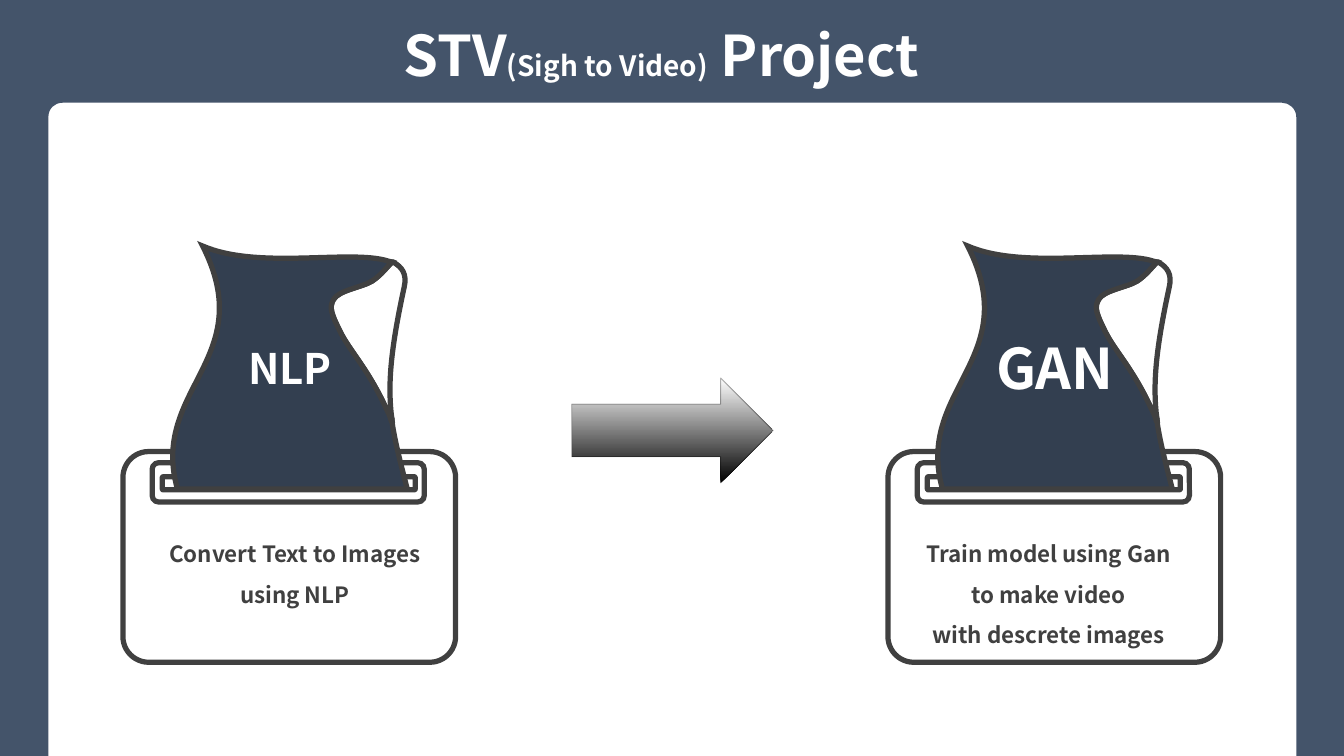
"""Build the STV project slide: two labelled pouches joined by an arrow."""
import pptx
import pptx.util
import pptx.dml.color
import pptx.enum.shapes
import pptx.enum.text
import lxml.etree

Inches = pptx.util.Inches
SHAPE = pptx.enum.shapes.MSO_SHAPE
TEXT = pptx.enum.text
FONT = "Noto Sans CJK KR"
WHITE, DARK, NAVY, SLATE, BLACK = "FFFFFF", "404040", "333F50", "44546A", "000000"
WIDTH, HEIGHT = 40 / 3, 7.5

TITLE = [("STV", 40), ("(Sigh to Video)", 20), (" Project", 40)]
TITLE_BOX = (3.47, 0.15, 6.18, 0.76)
STAGES = [
    {"dx": 0, "label": "NLP", "size": 30, "box": (1.43, 5.18, 2.99, 0.89),
     "caption": ["Convert Text to Images using NLP"]},
    {"dx": 7.59, "label": "GAN", "size": 40, "box": (8.71, 5.18, 3.44, 1.29),
     "caption": ["Train model using Gan ", "to make video ", "with descrete images "]},
]
CARD = ((1.22, 4.48, 3.3, 2.09), 0.122)
SLOTS = [((1.51, 4.59, 2.7, 0.39), 0.167), ((1.61, 4.73, 2.51, 0.13), 0.089)]
ARROW = (5.67, 3.75, 2, 1.04)

# Each path is a start point, then 2 numbers for a line or 6 for a curve.
FRAME = [(0, 0), (WIDTH, 0), (WIDTH, HEIGHT), (12.86, HEIGHT), (12.86, 1.47),
         (12.86, 1.16), (12.86, 1.08, 12.79, 1.02, 12.72, 1.02), (0.62, 1.02),
         (0.54, 1.02, 0.48, 1.08, 0.48, 1.16), (0.48, 1.47), (0.48, HEIGHT), (0, HEIGHT)]
FOLD = [(3.88, 2.61), (3.83, 2.66, 3.78, 2.73, 3.69, 2.79),
        (3.59, 2.85, 3.36, 2.88, 3.31, 2.97), (3.26, 3.05, 3.29, 3.12, 3.38, 3.3),
        (3.47, 3.48, 3.65, 3.66, 3.83, 4.05), (3.85, 4.09, 3.87, 4.13, 3.88, 4.17)]
FLAP_EDGE = [(3.89, 2.6), (3.9, 2.6), (3.99, 2.65, 4.04, 2.72, 4.01, 2.85),
             (3.88, 3.45, 3.85, 3.78, 3.88, 4.09), (3.89, 4.17)]
BAG_TOP = [(2.01, 2.44), (2.56, 2.68, 3.48, 2.47, 3.85, 2.59), (3.89, 2.6)]
BAG_BASE = [(3.89, 4.17), (3.89, 4.19), (3.92, 4.39, 3.97, 4.58, 4.04, 4.85),
            (1.76, 4.85), (1.48, 3.86, 2.58, 3.56, 2.01, 2.44)]


def rgb(value):
    return pptx.dml.color.RGBColor.from_string(value)


def child(parent, tag, **attrs):
    el = lxml.etree.SubElement(parent, pptx.oxml.ns.qn(tag))
    for key, value in attrs.items():
        el.set(key, str(value))
    return el


def backwards(path):
    ends = [seg[-2:] for seg in path]
    back = [path[i][2:4] + path[i][:2] + ends[i - 1] if len(path[i]) == 6 else ends[i - 1]
            for i in range(len(path) - 1, 0, -1)]
    return [ends[-1]] + back


def trace(path, steps=32):
    pts = [path[0]]
    for seg in path[1:]:
        if len(seg) == 2:
            pts.append(seg)
            continue
        ctrl = [pts[-1], seg[:2], seg[2:4], seg[4:]]
        for i in range(1, steps + 1):
            t = i / steps
            w = ((1 - t) ** 3, 3 * t * (1 - t) ** 2, 3 * t * t * (1 - t), t ** 3)
            pts.append(tuple(sum(k * c[a] for k, c in zip(w, ctrl)) for a in (0, 1)))
    return pts


def paint(sp, fill, line=DARK):
    sp.shadow.inherit = False
    sp.fill.solid()
    sp.fill.fore_color.rgb = rgb(fill)
    if line is None:
        sp.line.fill.background()
        return
    sp.line.color.rgb = rgb(line)
    sp.line.width = pptx.util.Pt(3.75)
    child(sp.line._get_or_add_ln(), "a:miter", lim=800000)


def shifted(box, dx=0):
    return [Inches(v) for v in (box[0] + dx, *box[1:])]


def rounded(shapes, box, adj, dx):
    sp = shapes.add_shape(SHAPE.ROUNDED_RECTANGLE, *shifted(box, dx))
    sp.adjustments[0] = adj
    paint(sp, WHITE)


def outline(shapes, path, fill, line=DARK, dx=0):
    bounds = [(Inches(x + dx), Inches(y)) for x, y in trace(path)]
    builder = shapes.build_freeform(*bounds[0])
    builder.add_line_segments(bounds[1:], close=True)
    sp = builder.convert_to_shape()
    geometry = sp._element.find(".//" + pptx.oxml.ns.qn("a:path"))
    for el in list(geometry):
        geometry.remove(el)
    for i, seg in enumerate(path):
        tag = "a:moveTo" if i == 0 else "a:lnTo" if len(seg) == 2 else "a:cubicBezTo"
        step = child(geometry, tag)
        for x, y in zip(seg[::2], seg[1::2]):
            child(step, "a:pt", x=Inches(x + dx) - sp.left, y=Inches(y) - sp.top)
    child(geometry, "a:close")
    paint(sp, fill, line)
    return sp


def write(tf, lines, color, **paragraph):
    tf.word_wrap = True
    for i, runs in enumerate(lines):
        p = tf.paragraphs[0] if i == 0 else tf.add_paragraph()
        for key, value in {"alignment": TEXT.PP_ALIGN.CENTER, **paragraph}.items():
            setattr(p, key, value)
        for text, size in runs:
            r = p.add_run()
            r.text = text
            style = {"name": FONT, "size": pptx.util.Pt(size), "bold": True}
            for key, value in style.items():
                setattr(r.font, key, value)
            r.font.color.rgb = rgb(color)


def add_stage(s, stage):
    dx = stage["dx"]
    rounded(s.shapes, *CARD, dx)
    pouch = s.shapes.add_group_shape().shapes
    for box, adj in SLOTS:
        rounded(pouch, box, adj, dx)
    outline(pouch, FLAP_EDGE + backwards(FOLD), WHITE, dx=dx)
    bag = outline(pouch, BAG_TOP + FOLD + BAG_BASE, NAVY, dx=dx)
    bag.text_frame.vertical_anchor = TEXT.MSO_ANCHOR.MIDDLE
    write(bag.text_frame, [[(stage["label"], stage["size"])]], WHITE)
    tf = s.shapes.add_textbox(*shifted(stage["box"])).text_frame
    tf.auto_size = TEXT.MSO_AUTO_SIZE.SHAPE_TO_FIT_TEXT
    write(tf, [[(line, 16)] for line in stage["caption"]], DARK, line_spacing=1.5)


def add_title(s):
    title = s.shapes.title
    s.shapes._spTree.append(title._element)
    title.left, title.top, title.width, title.height = shifted(TITLE_BOX)
    tf = title.text_frame
    tf.vertical_anchor = TEXT.MSO_ANCHOR.TOP
    tf.auto_size = TEXT.MSO_AUTO_SIZE.SHAPE_TO_FIT_TEXT
    write(tf, [TITLE], WHITE)


def add_arrow(s):
    sp = s.shapes.add_shape(SHAPE.LEFT_ARROW, *shifted(ARROW))
    sp.rotation = 180
    sp.shadow.inherit = False
    sp.fill.gradient()
    sp.fill.gradient_angle = 270
    for stop, color, pos in zip(sp.fill.gradient_stops, (BLACK, WHITE), (0, 1)):
        stop.color.rgb = rgb(color)
        stop.position = pos
    sp.line.color.rgb = rgb(BLACK)
    sp.line.width = 0
    clr = sp.line._get_or_add_ln().find(".//" + pptx.oxml.ns.qn("a:srgbClr"))
    child(clr, "a:alpha", val=27000)


def main():
    prs = pptx.Presentation()
    prs.slide_width, prs.slide_height = Inches(WIDTH), Inches(HEIGHT)
    s = prs.slides.add_slide(prs.slide_layouts[5])
    outline(s.shapes, FRAME, SLATE, None)
    for stage in STAGES:
        add_stage(s, stage)
    add_title(s)
    add_arrow(s)
    prs.save("out.pptx")


if __name__ == "__main__":
    main()
